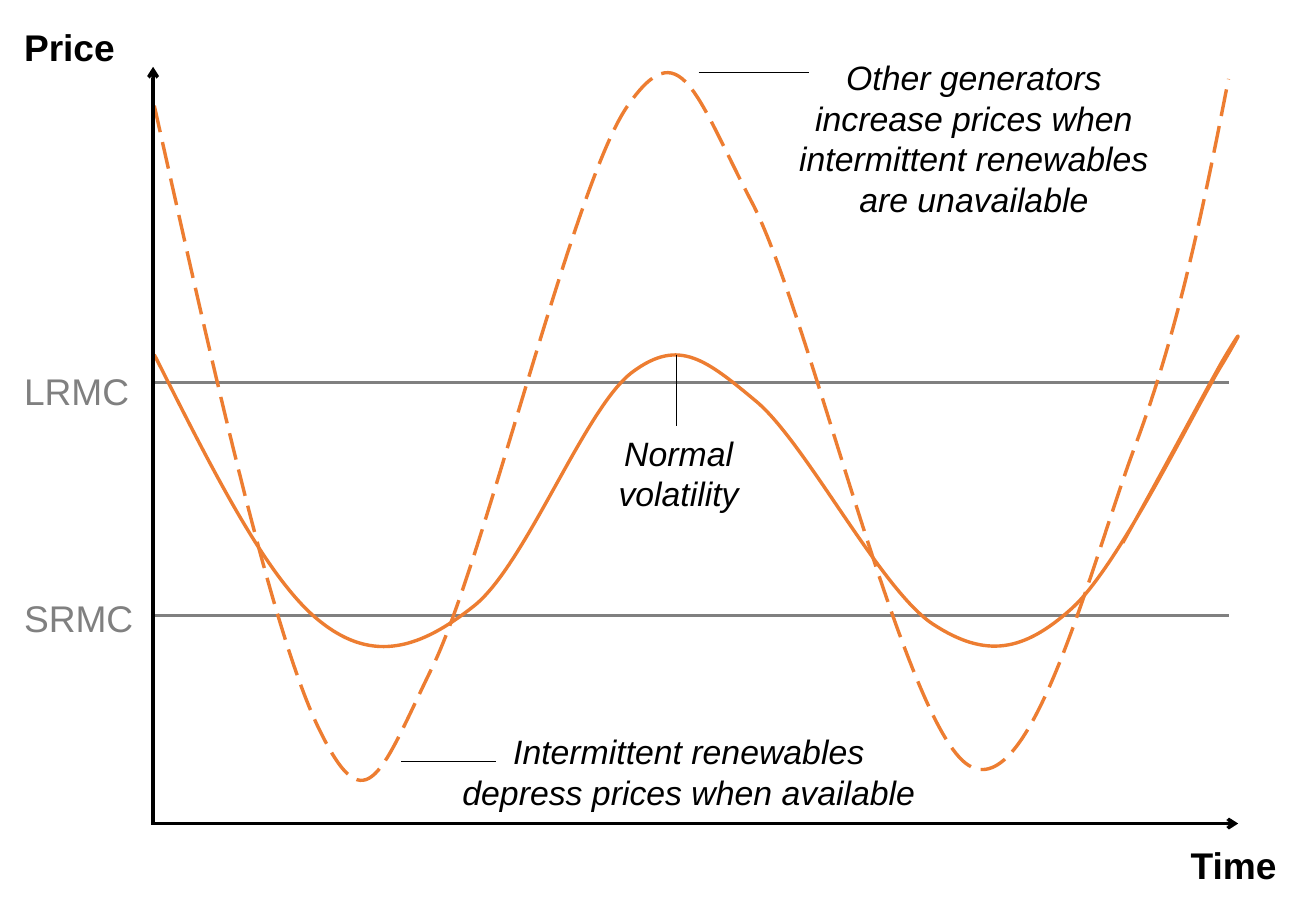
from lxml import etree
from pptx import Presentation
from pptx.dml.color import RGBColor
from pptx.enum.dml import MSO_LINE
from pptx.enum.shapes import MSO_CONNECTOR as Connector
from pptx.enum.text import MSO_AUTO_SIZE as AutoSize, PP_ALIGN as Align
from pptx.oxml.ns import qn
from pptx.util import Inches, Pt

BLACK = RGBColor(0x00, 0x00, 0x00)
GRAY = RGBColor(0x80, 0x80, 0x80)
ORANGE = RGBColor(0xED, 0x7D, 0x31)

AXIS_TITLE = {"size": Pt(22), "bold": True}
COST_LABEL = {"size": Pt(22)}
ANNOTATION = {"size": Pt(20), "italic": True}

NORMAL_PRICE = [
    (1.27, 2.92), (1.74, 3.85), (2.2, 4.78), (2.64, 5.12),
    (3.08, 5.47), (3.47, 5.33), (3.9, 4.99),
    (4.33, 4.65), (4.82, 3.34), (5.21, 3.06),
    (5.59, 2.78), (5.81, 2.96), (6.23, 3.31),
    (6.64, 3.66), (7.25, 4.86), (7.68, 5.14),
    (8.11, 5.42), (8.42, 5.37), (8.82, 5.01),
    (9.22, 4.65), (9.86, 3.31), (10.07, 2.98),
    (10.27, 2.64), (10.19, 2.75), (10.05, 2.99),
    (9.91, 3.24), (9.58, 3.86), (9.24, 4.47),
]
VOLATILE_PRICE = [
    (1.27, 0.87), (1.76, 3.06), (2.25, 5.26), (2.64, 6.03),
    (3.02, 6.8), (3.14, 6.35), (3.56, 5.49),
    (3.98, 4.63), (4.72, 1.52), (5.16, 0.88),
    (5.6, 0.24), (5.72, 0.77), (6.19, 1.67),
    (6.66, 2.57), (7.44, 5.97), (7.97, 6.3),
    (8.49, 6.63), (8.99, 4.6), (9.35, 3.65),
    (9.7, 2.71), (9.91, 1.68), (10.11, 0.65),
]


def add_line(slide, start, end, color, width, arrow=False):
    ends = [Inches(value) for value in (*start, *end)]
    connector = slide.shapes.add_connector(Connector.STRAIGHT, *ends)
    connector.line.color.rgb = color
    connector.line.width = Pt(width)
    properties = connector._element.spPr
    if arrow:
        line = properties.find(qn("a:ln"))
        etree.SubElement(line, qn("a:headEnd"), type="arrow")
    etree.SubElement(properties, qn("a:effectLst"))


def add_curve(slide, points, dash=None):
    start, *controls = [(Inches(x), Inches(y)) for x, y in points]
    builder = slide.shapes.build_freeform(*start)
    builder.add_line_segments(controls, close=False)
    shape = builder.convert_to_shape()
    shape.shadow.inherit = False
    shape.fill.background()
    shape.line.color.rgb = ORANGE
    shape.line.width = Pt(2)
    shape.line.dash_style = dash

    outline = next(shape._element.iter(qn("a:path")))
    segments = outline.findall(qn("a:lnTo"))
    for index in range(0, len(segments), 3):
        bezier = etree.SubElement(outline, qn("a:cubicBezTo"))
        for segment in segments[index:index + 3]:
            bezier.append(segment[0])
            outline.remove(segment)


def add_label(slide, text, box, style, color=BLACK, align=Align.LEFT):
    shape = slide.shapes.add_textbox(*[Inches(value) for value in box])
    frame = shape.text_frame
    frame.word_wrap = True
    frame.auto_size = AutoSize.SHAPE_TO_FIT_TEXT
    paragraph = frame.paragraphs[0]
    paragraph.alignment = align
    run = paragraph.add_run()
    run.text = text
    for name, value in {"name": "Arial", **style}.items():
        setattr(run.font, name, value)
    run.font.color.rgb = color


def main():
    presentation = Presentation()
    presentation.slide_width = Inches(10.83)
    presentation.slide_height = Inches(7.5)
    slide = presentation.slides.add_slide(presentation.slide_layouts[6])

    add_line(slide, (10.19, 6.78), (1.24, 6.78), BLACK, 2, arrow=True)
    add_label(slide, "Price", (0.1, 0.15, 1.04, 0.47), AXIS_TITLE)
    add_label(slide, "Time", (9.7, 6.89, 1.25, 0.47), AXIS_TITLE)

    for name, level, top, width in (
        ("LRMC", 3.15, 2.98, 1.1),
        ("SRMC", 5.07, 4.85, 1.3),
    ):
        add_line(slide, (1.27, level), (10.11, level), GRAY, 2)
        add_label(slide, name, (0.1, top, width, 0.47), COST_LABEL, GRAY)

    add_curve(slide, NORMAL_PRICE)
    add_curve(slide, VOLATILE_PRICE, MSO_LINE.LONG_DASH)
    add_line(slide, (1.26, 0.55), (1.26, 6.77), BLACK, 2, arrow=True)

    for text, box, start, end in (
        ("Intermittent renewables depress prices when available",
         (3.64, 5.97, 4.06, 0.77), (3.3, 6.27), (4.08, 6.27)),
        ("Normal volatility",
         (4.63, 3.51, 1.91, 0.77), (5.57, 2.92), (5.57, 3.51)),
        ("Other generators increase prices when intermittent renewables "
         "are unavailable",
         (6.44, 0.42, 3.15, 1.45), (5.75, 0.6), (6.66, 0.6)),
    ):
        add_label(slide, text, box, ANNOTATION, align=Align.CENTER)
        add_line(slide, start, end, BLACK, 0.5)

    presentation.save("out.pptx")


if __name__ == "__main__":
    main()
